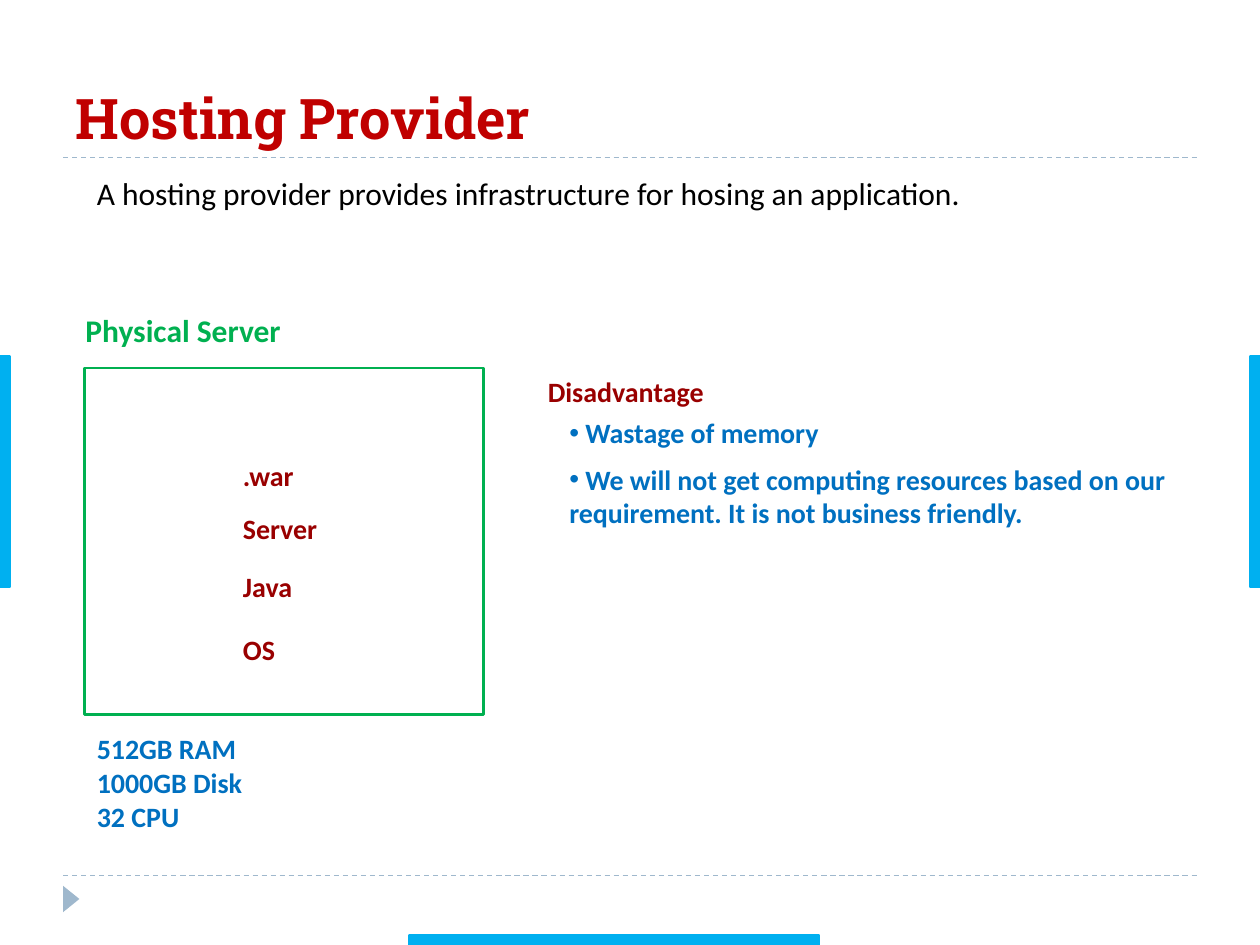
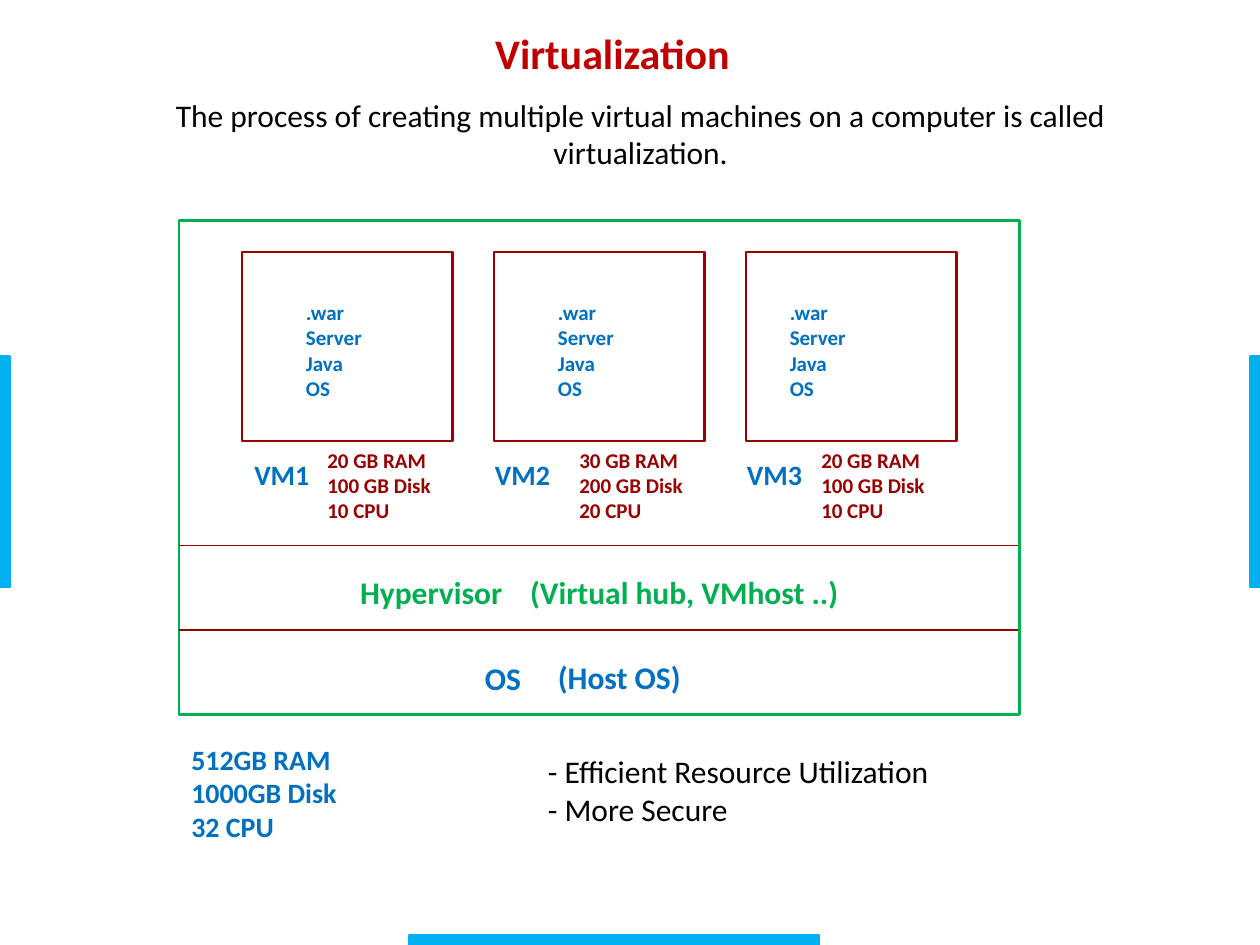
from dataclasses import dataclass

from lxml.etree import SubElement
from pptx import Presentation
from pptx.dml.color import RGBColor
from pptx.enum.dml import MSO_LINE_DASH_STYLE as Dash
from pptx.enum.shapes import MSO_CONNECTOR as Connector, MSO_SHAPE as Shape
from pptx.enum.text import MSO_ANCHOR as Anchor, MSO_AUTO_SIZE as AutoSize, PP_ALIGN as Align
from pptx.oxml.ns import qn
from pptx.util import Inches, Pt


@dataclass(frozen=True)
class Theme:
    # Colours
    title: str = "C00000"
    text: str = "000000"
    server: str = "00B050"
    detail: str = "0070C0"
    accent: str = "990000"
    tab: str = "00B0F0"
    rule: str = "9FB8CD"
    paper: str = "FFFFFF"
    # Fonts and sizes
    font: str = "Calibri"
    display_font: str = "Roboto Slab"
    display: int = 32
    heading: int = 24
    body: int = 18
    label: int = 16
    small: int = 12
    # Line widths
    border: float = 1.5
    hairline: float = 0.75


THEME = Theme()
COLUMNS, ROWS = 120, 90  # the slide in cells of a twelfth of an inch

SERVER_SPECS = ["512GB RAM", "1000GB Disk", "32 CPU"]
SOFTWARE_STACK = [".war", "Server", "Java", "OS"]


def cells(*counts):
    return [Inches(round(count / 12, 2)) for count in counts]


def colour(code):
    return RGBColor.from_string(code)


# Text
def write(frame, lines, size, code, bold=True, font=THEME.font, align=Align.LEFT):
    formats = {"name": font, "size": Pt(size), "bold": bold}
    for number, line in enumerate(lines):
        para = frame.paragraphs[0] if number == 0 else frame.add_paragraph()
        para.alignment = align
        span = para.add_run()
        span.text = line
        span.font.color.rgb = colour(code)
        for name, value in formats.items():
            setattr(span.font, name, value)


def add_text(page, area, lines, size, code, **options):
    box = page.shapes.add_textbox(*cells(*area))
    box.text_frame.word_wrap = True
    box.text_frame.auto_size = AutoSize.SHAPE_TO_FIT_TEXT
    write(box.text_frame, lines, size, code, **options)
    return box


def add_bullet(page, area, line):
    box = add_text(page, area, [" " + line], THEME.label, THEME.detail)
    properties = box.text_frame.paragraphs[0]._p.get_or_add_pPr()
    SubElement(properties, qn("a:buFont")).set("typeface", "Arial")
    SubElement(properties, qn("a:buChar")).set("char", "•")


def set_title(page, area, words, size, font, anchor):
    title = page.shapes.title
    for name, value in zip(("left", "top", "width", "height"), cells(*area)):
        setattr(title, name, value)
    frame = title.text_frame
    for name, value in {"word_wrap": True, "auto_size": AutoSize.NONE,
                        "vertical_anchor": anchor}.items():
        setattr(frame, name, value)
    write(frame, [words], size, THEME.title, font=font)


# Shapes and lines
def add_block(page, area, fill, border=None, kind=Shape.RECTANGLE):
    block = page.shapes.add_shape(kind, *cells(*area))
    block.shadow.inherit = False
    block.fill.solid()
    block.fill.fore_color.rgb = colour(fill)
    if border:
        block.line.color.rgb = colour(border)
        block.line.width = Pt(THEME.border)
    else:
        block.line.fill.background()
    return block


def add_rule(page, left, right, row, code, dash=None):
    rule = page.shapes.add_connector(Connector.STRAIGHT, *cells(left, row, right, row))
    rule.line.color.rgb = colour(code)
    rule.line.width = Pt(THEME.hairline)
    rule.line.dash_style = dash
    SubElement(rule._element.spPr, qn("a:effectLst"))


# Shared slide frame
def new_page(deck):
    page = deck.slides.add_slide(deck.slide_layouts[5])
    for area in ((0, 34, 1, 22), (COLUMNS - 1, 34, 1, 22), (39, ROWS - 1, 39, 1)):
        add_block(page, area, THEME.tab, THEME.tab)
    return page


def add_title_rules(page):
    for row in (83.4, 15):
        add_rule(page, 6, COLUMNS - 6, row, THEME.rule, Dash.DASH)
    marker = add_block(page, (5.5, 84.8, 2.5, 1.6), THEME.rule, kind=Shape.ISOSCELES_TRIANGLE)
    marker.rotation = 90


def add_specs(page, left, top):
    add_text(page, (left, top, 19, 11), SERVER_SPECS, THEME.label, THEME.detail)


# Virtual machine: frame, software stack, name and resources
def add_machine(page, number, stack_left, name_left, specs_left, specs):
    add_block(page, (23 + 24 * number, 24, 20, 18), THEME.paper, THEME.accent)
    add_text(page, (stack_left, 28, 16, 11), SOFTWARE_STACK, THEME.small, THEME.detail)
    add_text(page, (name_left, 43, 18, 4.5), [f"VM{number + 1}"], THEME.label, THEME.detail)
    add_text(page, (specs_left, 42, 16, 8.5), specs, THEME.small, THEME.accent)


def build_hosting(deck):
    page = new_page(deck)
    add_title_rules(page)
    set_title(page, (6, 2, 108, 13), "Hosting Provider", THEME.display,
              THEME.display_font, Anchor.BOTTOM)
    add_text(page, (8, 16, 106, 5),
             ["A hosting provider provides infrastructure for hosing an application."],
             THEME.body, THEME.text, bold=False)

    # Physical server
    add_text(page, (7, 29, 24, 5), ["Physical Server"], THEME.body, THEME.server)
    add_block(page, (8, 35, 38, 33), THEME.paper, THEME.server)
    for layer, row in zip(SOFTWARE_STACK, (43.1, 48.1, 53.6, 59.6)):
        add_text(page, (22, row, 12, 4.5), [layer], THEME.label, THEME.accent)
    add_specs(page, 8, 69.1)

    # Disadvantages
    add_text(page, (51, 35, 26, 4.5), ["Disadvantage"], THEME.label, THEME.accent)
    add_bullet(page, (53, 39, 60, 4.5), "Wastage of memory")
    add_bullet(page, (53, 43.5, 60, 7.7),
               "We will not get computing resources based on our requirement. "
               "It is not business friendly.")


def build_virtualization(deck):
    page = new_page(deck)
    set_title(page, (46, 2, 30, 6), "Virtualization", THEME.heading, THEME.font, Anchor.TOP)
    add_text(page, (12, 8.5, 98, 8.5),
             ["The process of creating multiple virtual machines on a computer "
              "is called virtualization."],
             THEME.body, THEME.text, bold=False, align=Align.CENTER)

    # Host server and its layers
    add_block(page, (17, 21, 80, 47), THEME.paper, THEME.server)
    for row in (52, 60):
        add_rule(page, 17, 97, row, THEME.accent)
    for left, top, width, words, code in (
        (33.1, 54, 18, "Hypervisor", THEME.server),
        (49.3, 54, 38, "(Virtual hub, VMhost ..)", THEME.server),
        (45, 62.2, 7, "OS", THEME.detail),
        (52, 62, 17, "(Host OS)", THEME.detail),
    ):
        add_text(page, (left, top, width, 5), [words], THEME.body, code)

    # Virtual machines
    small = ["20 GB RAM", "100 GB Disk", "10 CPU"]
    large = ["30 GB RAM", "200 GB Disk", "20 CPU"]
    machines = ((28, 23, 30, small), (52, 46, 54, large), (74, 70, 77, small))
    for number, machine in enumerate(machines):
        add_machine(page, number, *machine)

    # Server specs and benefits
    add_specs(page, 17, 70.1)
    add_text(page, (51, 71, 60, 8.5), ["- Efficient Resource Utilization", "- More Secure"],
             THEME.body, THEME.text, bold=False)


def main():
    deck = Presentation()
    deck.slide_width, deck.slide_height = cells(COLUMNS, ROWS)
    build_hosting(deck)
    build_virtualization(deck)
    deck.save("out.pptx")


if __name__ == "__main__":
    main()
